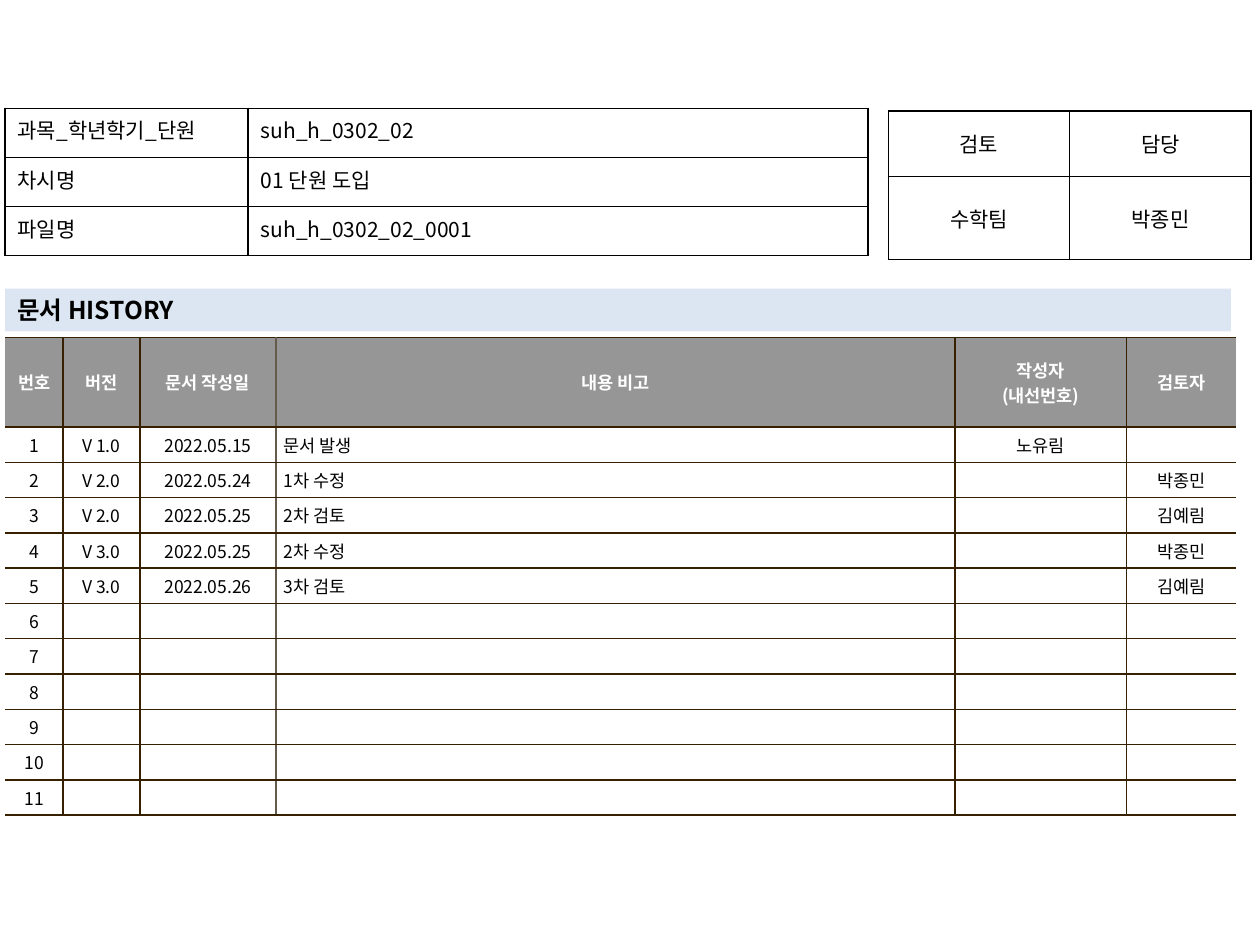
"""Build the document history slide of a lesson storyboard."""
from lxml import etree
from pptx import Presentation
from pptx.dml.color import RGBColor
from pptx.enum.shapes import MSO_SHAPE
from pptx.enum.text import MSO_ANCHOR, PP_ALIGN
from pptx.oxml.ns import qn
from pptx.util import Inches, Pt

LEFT, CENTER = PP_ALIGN.LEFT, PP_ALIGN.CENTER
TOP, MIDDLE = MSO_ANCHOR.TOP, MSO_ANCHOR.MIDDLE
RECTANGLE = MSO_SHAPE.RECTANGLE
FONT = "Noto Sans CJK KR"
COLORS = {
    "black": "000000",
    "white": "FFFFFF",
    "bar": "DCE6F2",
    "header": "969696",
    "rule": "362000",
    "soft_rule": "645B4C",
}

LESSON_ROWS = [
    ["과목_학년학기_단원", "suh_h_0302_02"],
    ["차시명", "01 단원 도입"],
    ["파일명", "suh_h_0302_02_0001"],
]
REVIEW_ROWS = [["검토", "담당"], ["수학팀", "박종민"]]
HISTORY_HEADER = ["번호", "버전", "문서 작성일", "내용 비고", "작성자\n(내선번호)", "검토자"]
HISTORY_ENTRIES = [
    ["V 1.0", "2022.05.15", "문서 발생", "노유림", ""],
    ["V 2.0", "2022.05.24", "1차 수정", "", "박종민"],
    ["V 2.0", "2022.05.25", "2차 검토", "", "김예림"],
    ["V 3.0", "2022.05.25", "2차 수정", "", "박종민"],
    ["V 3.0", "2022.05.26", "3차 검토", "", "김예림"],
]
HISTORY_LENGTH = 11
NOTE_COLUMN = 3


def rgb(name):
    """Return the named colour."""
    return RGBColor.from_string(COLORS[name])


def format_text(text_frame, size, color="black", bold=False, align=LEFT):
    """Format every paragraph and run, sizing empty paragraphs too."""
    for paragraph in text_frame.paragraphs:
        paragraph.alignment = align
        for run in paragraph.runs:
            run.font.size = Pt(size)
            run.font.bold = bold
            run.font.color.rgb = rgb(color)
            run.font.name = FONT
            properties = run.font._element
            etree.SubElement(properties, qn("a:ea"), typeface=FONT)
        if not paragraph.runs:
            etree.SubElement(paragraph._p, qn("a:endParaRPr"), sz=str(size * 100))


def set_borders(cell, left, right, top, bottom):
    """Draw 1 pt cell borders, leaving out the sides given as None."""
    properties = cell._tc.get_or_add_tcPr()
    sides = {"lnL": left, "lnR": right, "lnT": top, "lnB": bottom}
    for tag, color in sides.items():
        line = etree.SubElement(properties, qn(f"a:{tag}"), w=str(Pt(1)))
        if color is None:
            etree.SubElement(line, qn("a:noFill"))
        else:
            fill = etree.SubElement(line, qn("a:solidFill"))
            etree.SubElement(fill, qn("a:srgbClr"), val=COLORS[color])


def add_grid(slide, position, widths, heights, rows):
    """Add an unbanded table holding the given rows of text."""
    left, top = position
    frame = slide.shapes.add_table(
        len(rows), len(widths), Inches(left), Inches(top),
        Inches(sum(widths)), Inches(sum(heights)))
    table = frame.table
    table.first_row = table.horz_banding = False
    for column, width in zip(table.columns, widths):
        column.width = Inches(width)
    for row, height, texts in zip(table.rows, heights, rows):
        row.height = Inches(height)
        for cell, text in zip(row.cells, texts):
            cell.text_frame.text = text
    return table


def add_info_table(slide, position, widths, heights, rows, align, anchor):
    """Add a black-ruled table without fill."""
    table = add_grid(slide, position, widths, heights, rows)
    for cell in table.iter_cells():
        set_borders(cell, *["black"] * 4)
        cell.fill.background()
        cell.vertical_anchor = anchor
        format_text(cell.text_frame, 12, align=align)


def add_history_table(slide):
    """Add the revision table, open at its left and right edges."""
    entries = HISTORY_ENTRIES + [[""] * 5] * (HISTORY_LENGTH - len(HISTORY_ENTRIES))
    rows = [HISTORY_HEADER]
    rows += [[str(number), *entry] for number, entry in enumerate(entries, 1)]
    widths = [0.46, 0.61, 1.08, 5.39, 1.36, 0.87]
    heights = [0.71] + [0.25] * HISTORY_LENGTH
    table = add_grid(slide, (0.04, 2.68), widths, heights, rows)
    verticals = [None, "rule", "rule", "soft_rule", "rule", "rule", None]
    for row_index, row in enumerate(table.rows):
        is_header = row_index == 0
        for column_index, cell in enumerate(row.cells):
            set_borders(cell, *verticals[column_index:column_index + 2], "rule", "rule")
            cell.fill.solid()
            cell.fill.fore_color.rgb = rgb("header" if is_header else "white")
            cell.vertical_anchor = MIDDLE
            cell.margin_left = cell.margin_right = Inches(0.06)
            cell.margin_top = cell.margin_bottom = Inches(0.04)
            is_note = column_index == NOTE_COLUMN and not is_header
            format_text(cell.text_frame, 10, "white" if is_header else "black",
                        is_header, LEFT if is_note else CENTER)


def add_heading_bar(slide, text):
    """Add the tinted section heading."""
    shape = slide.shapes.add_shape(
        RECTANGLE, Inches(0.04), Inches(2.29), Inches(9.73), Inches(0.34))
    shape.shadow.inherit = False
    shape.fill.solid()
    shape.fill.fore_color.rgb = rgb("bar")
    shape.line.fill.background()
    shape.text_frame.text = text
    shape.text_frame.word_wrap = True
    shape.text_frame.vertical_anchor = MIDDLE
    format_text(shape.text_frame, 14, bold=True)


def main():
    """Create and save the presentation."""
    presentation = Presentation()
    presentation.slide_width = Inches(10)
    presentation.slide_height = Inches(7.5)
    slide = presentation.slides.add_slide(presentation.slide_layouts[6])
    add_history_table(slide)
    add_info_table(slide, (7.05, 0.88), [1.44] * 2, [0.52, 0.66], REVIEW_ROWS, CENTER, MIDDLE)
    add_heading_bar(slide, "문서 HISTORY")
    add_info_table(slide, (0.04, 0.86), [1.93, 4.92], [0.39] * 3, LESSON_ROWS, LEFT, TOP)
    presentation.save("out.pptx")


if __name__ == "__main__":
    main()
